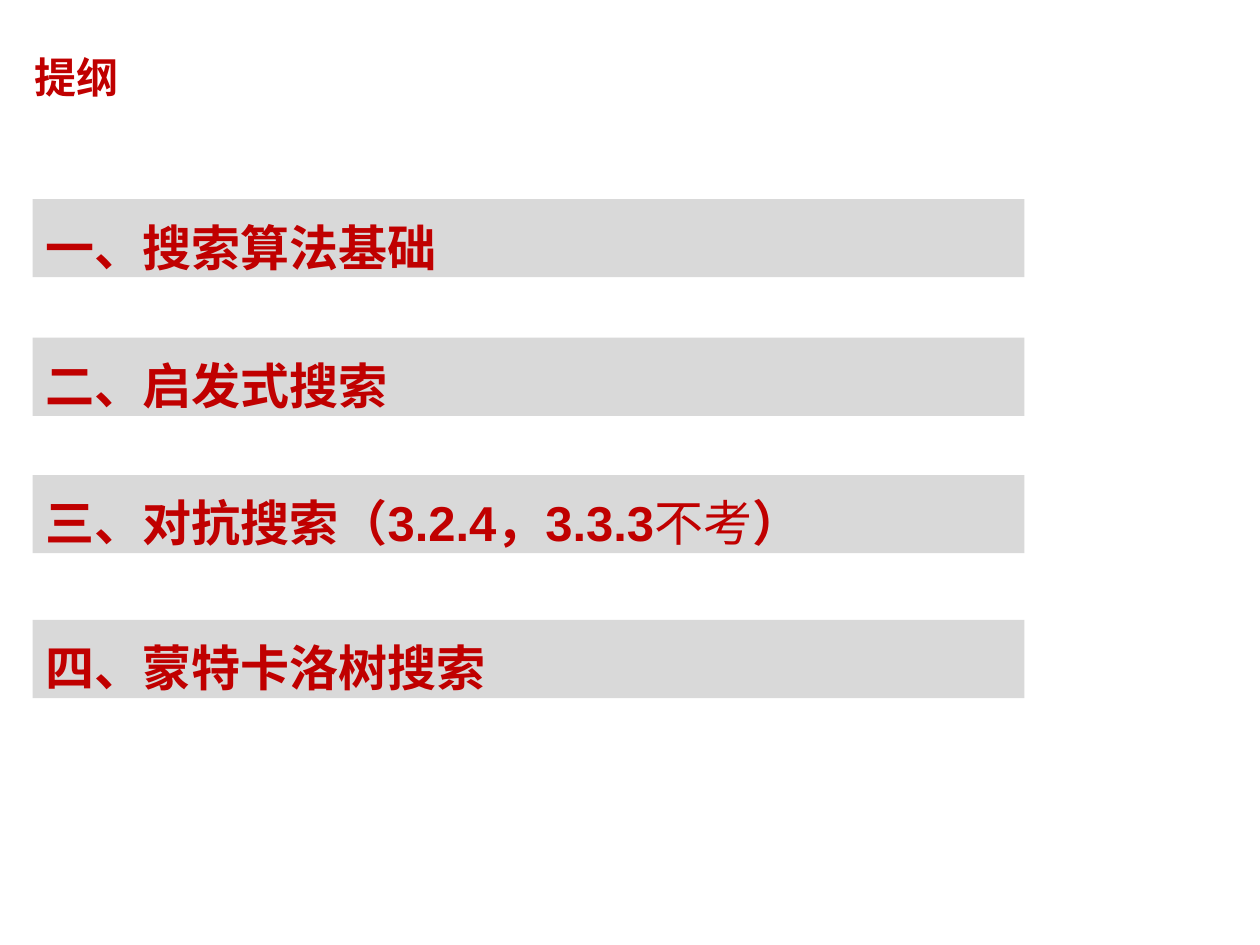
from pptx import Presentation
from pptx.dml.color import RGBColor
from pptx.enum.shapes import MSO_SHAPE
from pptx.enum.text import MSO_ANCHOR, MSO_AUTO_SIZE, PP_ALIGN
from pptx.util import Inches, Pt

RED = RGBColor(0xC0, 0x00, 0x00)
GRAY = RGBColor(0xD9, 0xD9, 0xD9)
SERIF, SANS = "Times New Roman", "Arial"

# Top of each bar, then its runs as (text, font, bold)
TOPICS = [
    (1.58, [("一、搜索算法基础", SERIF, True)]),
    (2.68, [("二、启发式搜索", SERIF, True)]),
    (3.77, [("三、对抗搜索", SERIF, True), ("（3.2.4，3.3.3", SANS, True),
            ("不考", SANS, False), ("）", SANS, True)]),
    (4.92, [("四、蒙特卡洛树搜索", SERIF, True)]),
]


def put_text(shape, runs, size, anchor=MSO_ANCHOR.TOP, spacing=1.0, left=0.1):
    frame = shape.text_frame
    frame.word_wrap = True
    frame.vertical_anchor = anchor
    frame.margin_left = Inches(left)
    para = frame.paragraphs[0]
    para.alignment = PP_ALIGN.LEFT
    para.line_spacing = spacing
    for text, face, bold in runs:
        run = para.add_run()
        run.text = text
        font = run.font
        font.name, font.size, font.bold = face, Pt(size), bold
        font.color.rgb = RED


def add_title(slide, text):
    box = slide.shapes.add_textbox(Inches(0.02), Inches(0.11), Inches(7.42), Inches(0.99))
    put_text(box, [(text, SERIF, True)], 24, anchor=MSO_ANCHOR.MIDDLE, left=0.25)


def add_bar(slide, top, runs):
    bar = slide.shapes.add_shape(
        MSO_SHAPE.RECTANGLE, Inches(0.26), Inches(top), Inches(7.87), Inches(0.62))
    bar.shadow.inherit = False
    bar.fill.solid()
    bar.fill.fore_color.rgb = GRAY
    bar.line.fill.background()
    put_text(bar, runs, 28, spacing=1.2)
    bar.text_frame.auto_size = MSO_AUTO_SIZE.SHAPE_TO_FIT_TEXT


def main():
    deck = Presentation()
    deck.slide_width, deck.slide_height = Inches(10), Inches(7.5)
    slide = deck.slides.add_slide(deck.slide_layouts[6])
    add_title(slide, "提纲")
    for top, runs in TOPICS:
        add_bar(slide, top, runs)
    deck.save("out.pptx")


if __name__ == "__main__":
    main()
